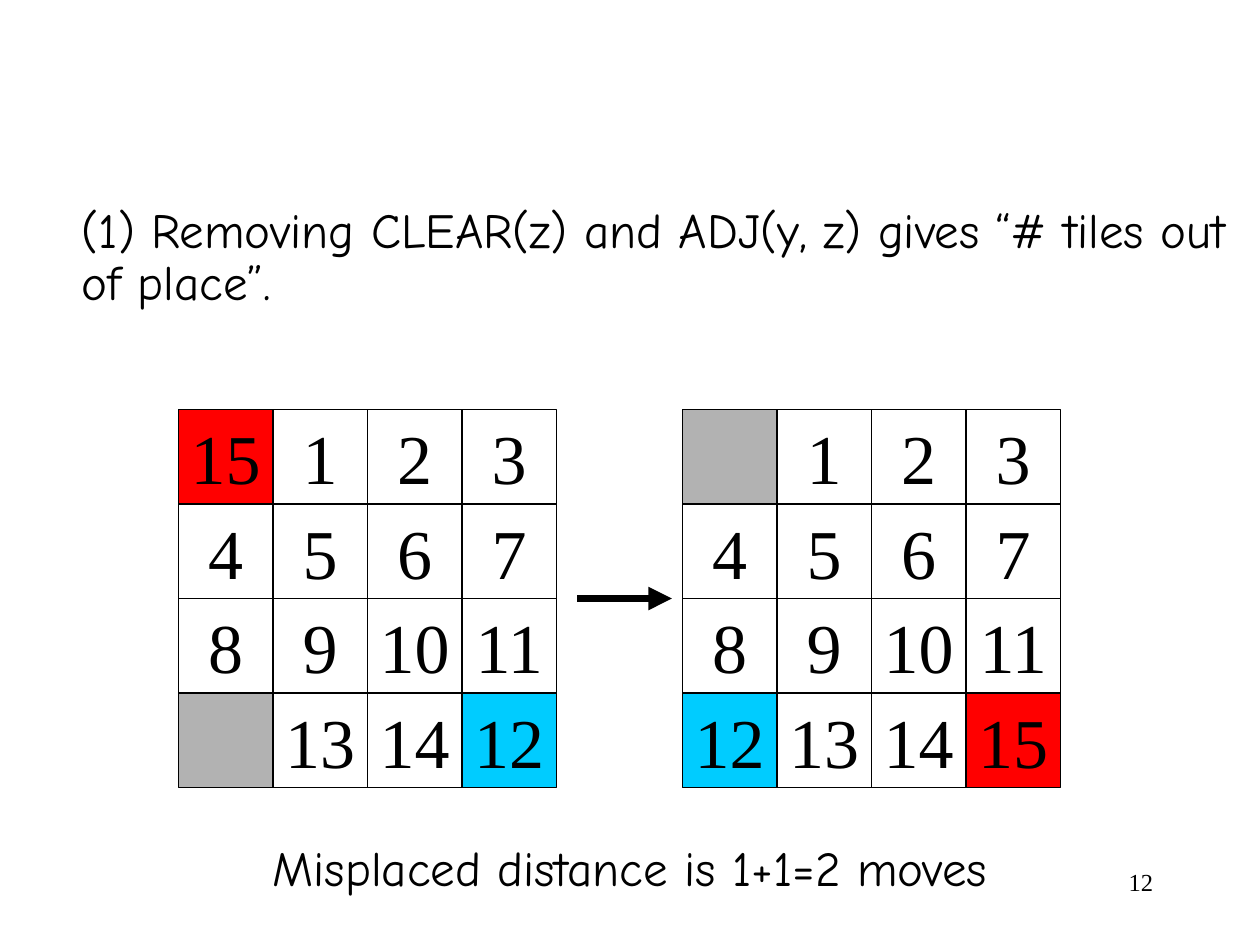
from pptx import Presentation, util as u
from pptx.dml.color import RGBColor
from pptx.enum import shapes, text
from pptx.oxml.ns import qn
from lxml import etree

PX = 7620  # EMU per px, 120 px to the inch
TILE = 90
BOARD_TOP = 390
TILE_COLOURS = {"": "B2B2B2", "12": "00CCFF", "15": "FF0000"}


def colour(hex_code):
    return RGBColor.from_string(hex_code)


def write(frame, wording, frame_format, paragraph_format, size, font):
    """Fill a text frame with one black paragraph."""
    for key, value in frame_format.items():
        setattr(frame, key, value)
    paragraph = frame.paragraphs[0]
    for key, value in paragraph_format.items():
        setattr(paragraph, key, value)
    run = paragraph.add_run()
    run.text = wording
    run.font.size = u.Pt(size)
    run.font.name = font
    run.font.color.rgb = colour("000000")


prs = Presentation()
prs.slide_width, prs.slide_height = 1200 * PX, 900 * PX
slide = prs.slides.add_slide(prs.slide_layouts[6])

# Statement, conclusion and page number
body_frame = {"word_wrap": True, "margin_left": 0, "margin_right": 0,
              "margin_top": 6 * PX, "margin_bottom": 6 * PX}
page_frame = {**body_frame, "margin_left": 12 * PX, "margin_right": 12 * PX}
body = {"line_spacing": 0.9, "space_before": u.Pt(7)}
centred = {"alignment": text.PP_ALIGN.CENTER}
right = {"alignment": text.PP_ALIGN.RIGHT}
for box, wording, frame_format, paragraph_format, size, font in [
    ((78, 190, 1092, 120),
     "(1) Removing CLEAR(z) and ADJ(y, z) gives “# tiles out of place”.",
     body_frame, body, 28, "Comic Neue"),
    ((220, 798, 760, 70), "Misplaced distance is 1+1=2 moves",
     body_frame, {**body, **centred}, 28, "Comic Neue"),
    ((860, 820, 250, 60), "12", page_frame, right, 14, "Times New Roman"),
]:
    textbox = slide.shapes.add_textbox(*(v * PX for v in box))
    write(textbox.text_frame, wording, frame_format, paragraph_format, size, font)

# Start and goal boards
tile_frame = {"word_wrap": False, "vertical_anchor": text.MSO_ANCHOR.MIDDLE}
middle = [str(n) for n in range(1, 12)]
start = ["15", *middle, "", "13", "14", "12"]
goal = ["", *middle, "12", "13", "14", "15"]
for board_left, numbers in [(170, start), (650, goal)]:
    board = slide.shapes.add_group_shape()
    for i, number in enumerate(numbers):
        row, column = divmod(i, 4)
        tile = board.shapes.add_shape(
            shapes.MSO_SHAPE.RECTANGLE, (board_left + column * TILE) * PX,
            (BOARD_TOP + row * TILE) * PX, TILE * PX, TILE * PX)
        tile.shadow.inherit = False
        tile.line.color.rgb = colour("000000")
        tile.line.width = u.Pt(0.75)
        if number in TILE_COLOURS:
            tile.fill.solid()
            tile.fill.fore_color.rgb = colour(TILE_COLOURS[number])
        else:
            tile.fill.background()
        if number:
            write(tile.text_frame, number, tile_frame, centred, 40, "Times New Roman")

# Arrow from start to goal, level with the middle of the boards
arrow_y = (BOARD_TOP + 2 * TILE) * PX
arrow = slide.shapes.add_connector(
    shapes.MSO_CONNECTOR.STRAIGHT, 550 * PX, arrow_y, 640 * PX, arrow_y)
arrow.line.color.rgb = colour("000000")
arrow.line.width = u.Pt(4.5)
etree.SubElement(arrow.line._get_or_add_ln(), qn("a:tailEnd"), type="triangle")
etree.SubElement(arrow._element.spPr, qn("a:effectLst"))

prs.save("out.pptx")
